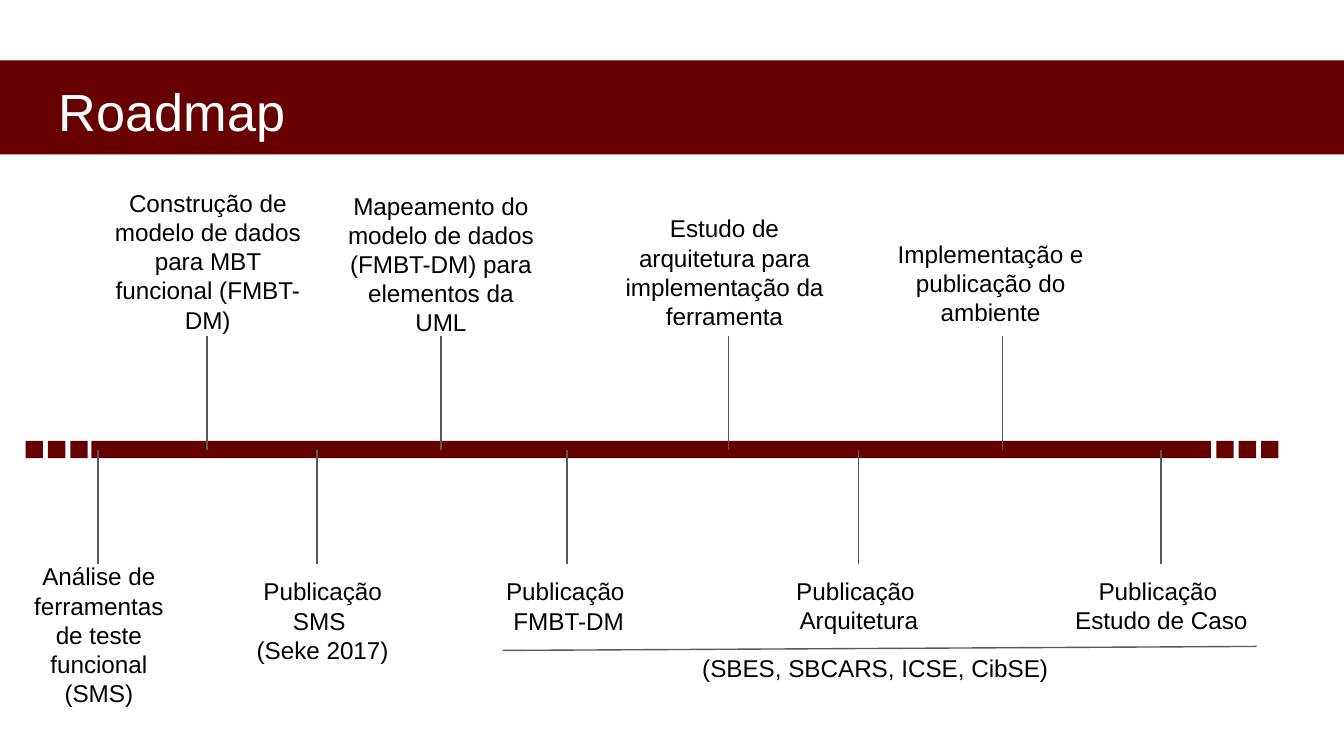
"""Build the Roadmap slide: a timeline with steps above and publications below."""
from copy import deepcopy

from lxml.etree import SubElement
from pptx import Presentation
from pptx.dml.color import RGBColor
from pptx.enum.shapes import MSO_CONNECTOR, MSO_SHAPE
from pptx.enum.text import MSO_ANCHOR, PP_ALIGN
from pptx.oxml.ns import qn
from pptx.util import Inches, Pt

MAROON = RGBColor(0x66, 0, 0)
GRAY = RGBColor(0x59, 0x59, 0x59)
BLACK = RGBColor(0, 0, 0)
WHITE = RGBColor(255, 255, 255)

WIDTH = 10
HEIGHT = WIDTH * 9 / 16
BAR_LEFT, BAR_TOP, BAR_WIDTH, BAR_HEIGHT = 0.68, 3.28, 8.33, 0.13
SQUARE_PITCH = 1 / 6
SQUARE_STARTS = (0.19, 9.05)
AXIS = 3.35
STEM = 0.85

# Each label: paragraphs, (left, top, width, height), stem position
STEPS = [
    (["Construção de modelo de dados para MBT funcional (FMBT-DM)"], (0.74, 1.3, 1.61, 1.25), 1.54),
    (["Mapeamento do modelo de dados (FMBT-DM) para elementos da UML"], (2.43, 1.32, 1.7, 1.01), 3.28),
    (["Estudo de arquitetura para implementação da ferramenta"], (4.54, 1.49, 1.7, 1.01), 5.42),
    (["Implementação e publicação do ambiente"], (6.52, 1.68, 1.7, 0.8), 7.46),
]
PUBLICATIONS = [
    (["Análise de ferramentas de teste funcional", "(SMS)"], (0.11, 4.08, 1.25, 0.8), 0.73),
    (["Publicação SMS \n(Seke 2017)"], (1.76, 4.19, 1.28, 0.58), 2.36),
    (["Publicação \nFMBT-DM"], (3.59, 4.19, 1.28, 0.58), 4.22),
    (["Publicação \nArquitetura"], (5.09, 4.19, 2.6, 0.8), 6.39),
    (["Publicação \nEstudo de Caso"], (7.34, 4.19, 2.6, 0.8), 8.64),
]
VENUES = ["(SBES, SBCARS, ICSE, CibSE)"]


def add_text(page, paragraphs, place, size=13, color=BLACK,
             align=PP_ALIGN.CENTER, anchor=MSO_ANCHOR.TOP):
    frame = page.shapes.add_textbox(*map(Inches, place)).text_frame
    frame.word_wrap = True
    frame.vertical_anchor = anchor
    frame.margin_left = frame.margin_right = Inches(0.1)
    frame.margin_top = frame.margin_bottom = Inches(0.1)
    for index, text in enumerate(paragraphs):
        para = frame.add_paragraph() if index else frame.paragraphs[0]
        para.text = text.replace("\n", "\v")
        para.alignment = align
        for span in para.runs:
            span.font.name = "Arial"
            span.font.size = Pt(size)
            span.font.color.rgb = color
        for line_break in para._p.findall(qn("a:br")):
            line_break.append(deepcopy(para._p.find(qn("a:r")).find(qn("a:rPr"))))


def add_block(page, *place):
    block = page.shapes.add_shape(MSO_SHAPE.RECTANGLE, *map(Inches, place))
    block.shadow.inherit = False
    block.fill.solid()
    block.fill.fore_color.rgb = MAROON
    block.line.fill.background()


def add_line(page, *ends):
    line = page.shapes.add_connector(MSO_CONNECTOR.STRAIGHT, *map(Inches, ends))
    line.line.color.rgb = GRAY
    line.line.width = Pt(0.75)
    SubElement(line.element.spPr, qn("a:effectLst"))


def main():
    deck = Presentation()
    deck.slide_width, deck.slide_height = Inches(WIDTH), Inches(HEIGHT)
    page = deck.slides.add_slide(deck.slide_layouts[6])

    add_block(page, 0, 0.45, WIDTH, 0.7)
    add_text(page, ["Roadmap"], (0.34, 0.49, 9.32, 0.63), size=28,
             color=WHITE, align=PP_ALIGN.LEFT)

    add_block(page, BAR_LEFT, BAR_TOP, BAR_WIDTH, BAR_HEIGHT)
    for start in SQUARE_STARTS:
        for column in range(3):
            add_block(page, start + column * SQUARE_PITCH, BAR_TOP, BAR_HEIGHT, BAR_HEIGHT)

    for labels, stem_end in ((STEPS, AXIS - STEM), (PUBLICATIONS, AXIS + STEM)):
        for paragraphs, place, stem in labels:
            add_text(page, paragraphs, place)
            add_line(page, stem, AXIS, stem, stem_end)

    add_line(page, 3.74, 4.84, 9.35, 4.81)
    add_text(page, VENUES, (4.87, 4.74, 3.28, 0.46), anchor=MSO_ANCHOR.MIDDLE)
    deck.save("out.pptx")


if __name__ == "__main__":
    main()
